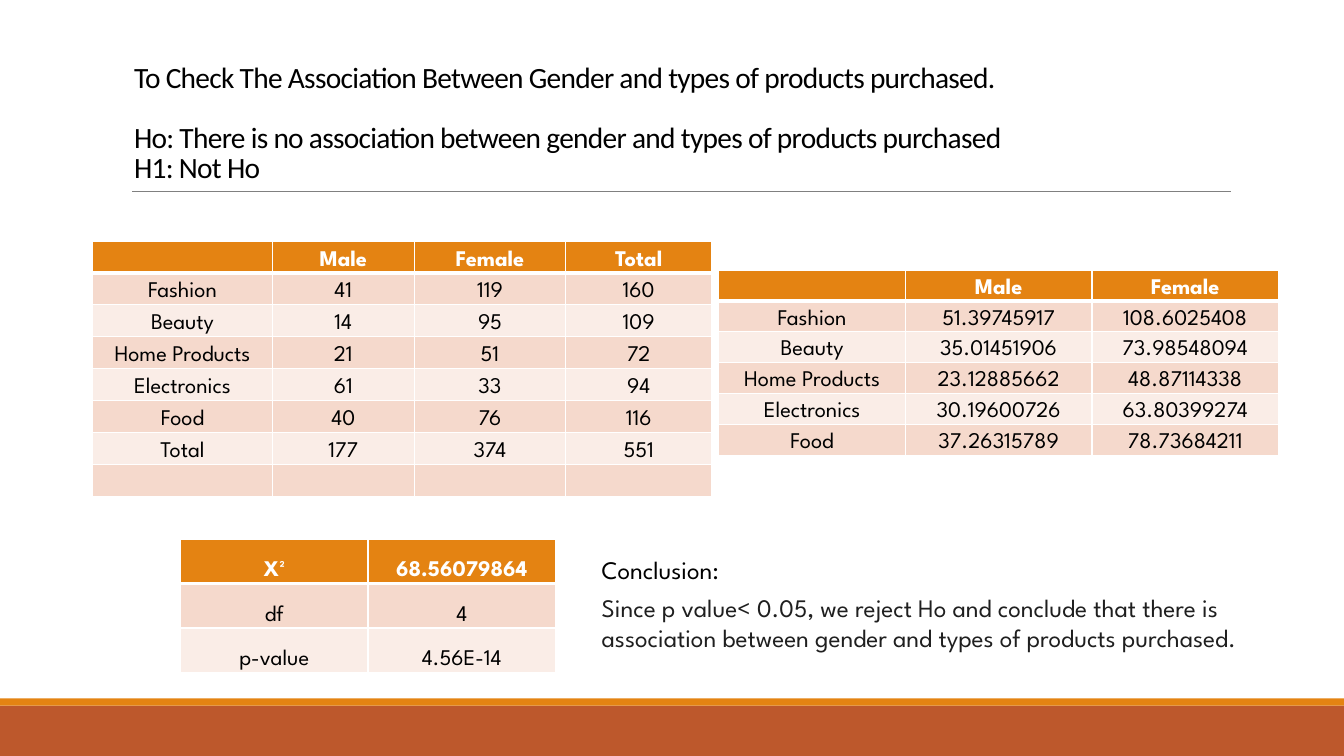
from lxml import etree
from pptx import Presentation
from pptx.dml.color import RGBColor
from pptx.enum.shapes import MSO_CONNECTOR, MSO_SHAPE
from pptx.enum.text import MSO_ANCHOR, PP_ALIGN
from pptx.oxml.ns import qn
from pptx.util import Inches, Pt

RECTANGLE = MSO_SHAPE.RECTANGLE
STRAIGHT = MSO_CONNECTOR.STRAIGHT
BOTTOM = MSO_ANCHOR.BOTTOM
CENTER = PP_ALIGN.CENTER

WHITE = RGBColor(0xFF, 0xFF, 0xFF)
BLACK = RGBColor(0x00, 0x00, 0x00)
INK = RGBColor(0x1F, 0x1F, 0x1F)
GRAY = RGBColor(0x80, 0x80, 0x80)
ORANGE = RGBColor(0xE4, 0x83, 0x12)
RUST = RGBColor(0xBD, 0x58, 0x2C)
BAND_DARK = RGBColor(0xF5, 0xD9, 0xCC)
BAND_LIGHT = RGBColor(0xFA, 0xED, 0xE7)
BODY_FONT = "League Spartan"
TITLE_FONT = "Calibri"


def add_border(cell, side, points):
    line = etree.Element(qn(f"a:{side}"), w=str(Pt(points)))
    fill = etree.SubElement(line, qn("a:solidFill"))
    etree.SubElement(fill, qn("a:srgbClr"), val=str(WHITE))
    return line


def add_data_table(left, top, column_widths, row_height, rows):
    table = slide.shapes.add_table(
        len(rows), len(column_widths), Inches(left), Inches(top),
        Inches(sum(column_widths)), Inches(row_height * len(rows))).table
    for column, width in zip(table.columns, column_widths):
        column.width = Inches(width)
    for r, values in enumerate(rows):
        table.rows[r].height = Inches(row_height)
        for c, value in enumerate(values):
            cell = table.cell(r, c)
            cell.margin_left = cell.margin_right = Inches(0.03)
            cell.margin_top = cell.margin_bottom = Inches(0.02)
            cell.vertical_anchor = BOTTOM
            borders = {"lnL": 1, "lnR": 1, "lnT": 3 if r == 1 else 1, "lnB": 3 if r == 0 else 1}
            for side, points in borders.items():
                cell._tc.get_or_add_tcPr().append(add_border(cell, side, points))
            cell.fill.solid()
            cell.fill.fore_color.rgb = ORANGE if r == 0 else BAND_DARK if r % 2 else BAND_LIGHT
            paragraph = cell.text_frame.paragraphs[0]
            if not value:
                etree.SubElement(paragraph._p, qn("a:endParaRPr"), sz="1200")
                continue
            paragraph.text = value
            paragraph.alignment = CENTER
            paragraph.font.name = BODY_FONT
            paragraph.font.size = Pt(16)
            paragraph.font.bold = r == 0
            paragraph.font.color.rgb = WHITE if r == 0 else BLACK


deck = Presentation()
deck.slide_width = Inches(13.33)
deck.slide_height = Inches(7.5)
slide = deck.slides.add_slide(deck.slide_layouts[6])

for top, height, color in [(7, 0.5, RUST), (6.93, 0.07, ORANGE)]:
    footer_band = slide.shapes.add_shape(
        RECTANGLE, 0, Inches(top), deck.slide_width, Inches(height))
    footer_band.shadow.inherit = False
    footer_band.fill.solid()
    footer_band.fill.fore_color.rgb = color
    footer_band.line.fill.background()

title_rule = slide.shapes.add_connector(
    STRAIGHT, Inches(1.31), Inches(1.9), Inches(12.21), Inches(1.9))
title_rule.line.color.rgb = GRAY
title_rule.line.width = Pt(0.5)
etree.SubElement(title_rule._element.spPr, qn("a:effectLst"))

hypotheses = slide.shapes.add_textbox(
    Inches(0.85), Inches(0.28), Inches(11.56), Inches(1.6)).text_frame
hypotheses.word_wrap = True
hypotheses.vertical_anchor = BOTTOM
hypotheses.margin_left = Inches(0.48)
for i, (text, space_before) in enumerate([
    ("To Check The Association Between Gender and types of products purchased.", 0),
    ("Ho: There is no association between gender and types of products purchased", 21.5),
    ("H1: Not Ho", 0),
]):
    paragraph = hypotheses.paragraphs[0] if i == 0 else hypotheses.add_paragraph()
    paragraph.text = text
    paragraph.line_spacing = 0.85
    paragraph.space_before = Pt(space_before)
    paragraph.font.name = TITLE_FONT
    paragraph.font.size = Pt(21)
    paragraph.font.color.rgb = BLACK
    paragraph.runs[0].font._element.set("spc", "-50")

add_data_table(0.92, 2.39, [1.78, 1.41, 1.5, 1.45], 0.317, [
    ("", "Male", "Female", "Total"),
    ("Fashion", "41", "119", "160"),
    ("Beauty", "14", "95", "109"),
    ("Home Products", "21", "51", "72"),
    ("Electronics", "61", "33", "94"),
    ("Food", "40", "76", "116"),
    ("Total", "177", "374", "551"),
    ("", "", "", ""),
])
add_data_table(7.13, 2.68, [1.85] * 3, 0.22, [
    ("", "Male", "Female"),
    ("Fashion", "51.39745917", "108.6025408"),
    ("Beauty", "35.01451906", "73.98548094"),
    ("Home Products", "23.12885662", "48.87114338"),
    ("Electronics", "30.19600726", "63.80399274"),
    ("Food", "37.26315789", "78.73684211"),
])
add_data_table(1.79, 5.35, [1.86] * 2, 0.44, [
    ("X²", "68.56079864"),
    ("df", "4"),
    ("p-value", "4.56E-14"),
])

conclusion = slide.shapes.add_textbox(
    Inches(5.87), Inches(5.45), Inches(6.67), Inches(1.4)).text_frame
conclusion.word_wrap = True
for i, (text, color) in enumerate([
    ("Conclusion:", BLACK),
    ("Since p value< 0.05, we reject Ho and conclude that there is association "
     "between gender and types of products purchased.", INK),
]):
    paragraph = conclusion.paragraphs[0] if i == 0 else conclusion.add_paragraph()
    paragraph.text = text
    paragraph.space_after = Pt(5.7)
    paragraph.font.name = BODY_FONT
    paragraph.font.size = Pt(18)
    paragraph.font.color.rgb = color

deck.save("out.pptx")
